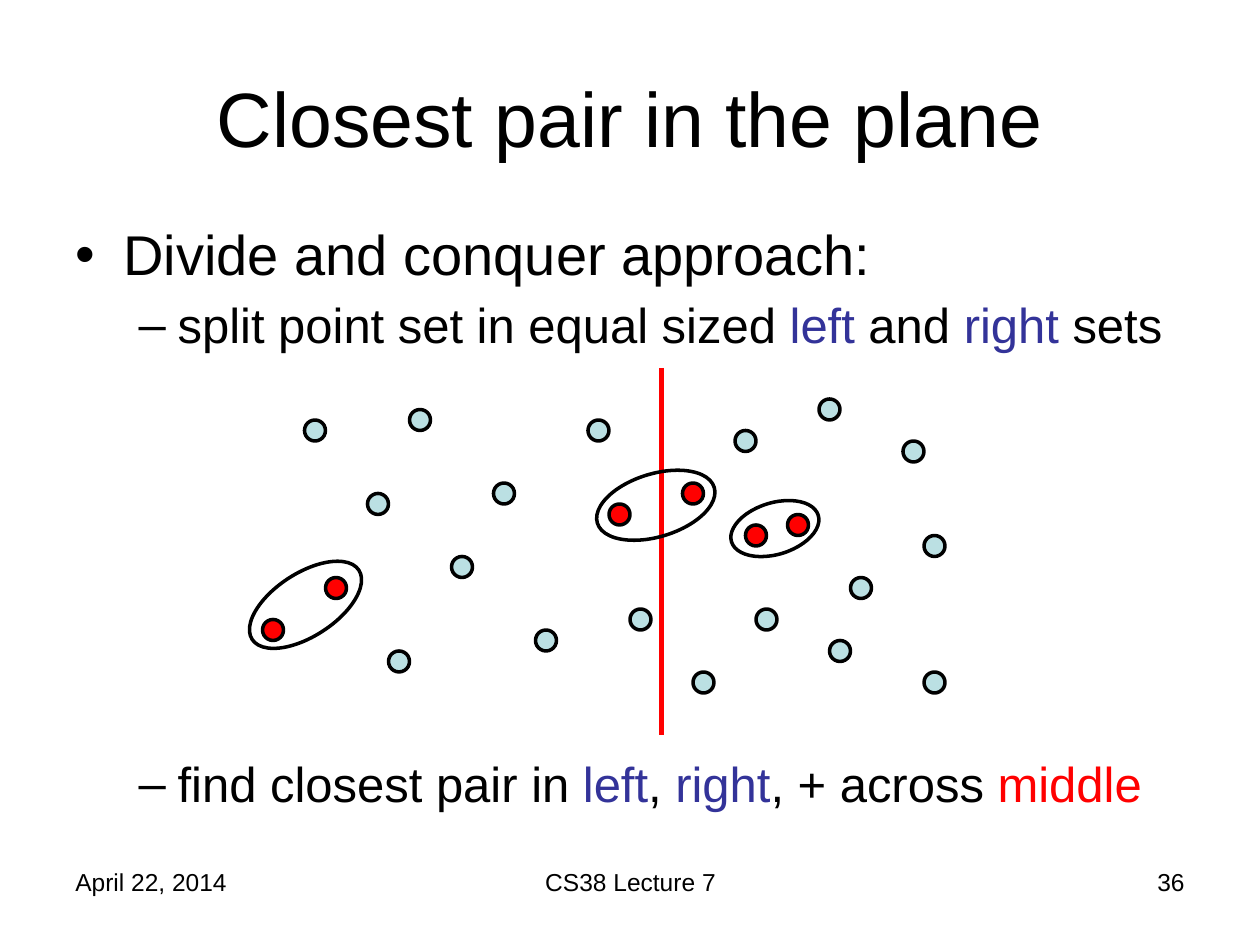
from lxml.etree import SubElement
from pptx import Presentation
from pptx.dml.color import RGBColor
from pptx.enum.shapes import MSO_CONNECTOR, MSO_SHAPE
from pptx.enum.text import MSO_ANCHOR, MSO_AUTO_SIZE, PP_ALIGN
from pptx.oxml.ns import qn
from pptx.util import Inches, Pt

BLACK, RED, BLUE, PALE = "000000", "FF0000", "333399", "BBE0E3"
UNIT = 1 / 12
DOT_SIZE = 2 * UNIT

POINTS = [
    (36, 48), (48, 47), (44, 54), (61, 59), (52, 61), (38, 63), (40, 40),
    (57, 41), (71, 42), (73, 59), (67, 65), (79, 39), (87, 43), (80, 62),
    (82, 56), (89, 52), (30, 41), (89, 65),
]
PAIR_POINTS = [(59, 49), (66, 47), (72, 51), (76, 50), (32, 56), (26, 60)]
PAIR_RINGS = [
    (1.92, 4.55, 1.01, 0.5, 327),
    (4.72, 3.76, 0.97, 0.5, 343),
    (5.79, 3.99, 0.72, 0.41, 343),
]
BODY = [
    (0, 32, 0, "•", 0.38, 0.38, [("Divide and conquer approach:", BLACK)]),
    (1, 28, 8, "–", 0.81, 0.31, [
        ("split point set in equal sized ", BLACK), ("left", BLUE),
        (" and ", BLACK), ("right", BLUE), (" sets", BLACK)]),
    (1, 28, 232, "–", 0.81, 0.31, [
        ("find closest pair in ", BLACK), ("left", BLUE), (", ", BLACK),
        ("right", BLUE), (", + across", BLACK), (" middle", RED)]),
]
FOOTERS = [
    (0.5, 2.33, "April 22, 2014", PP_ALIGN.LEFT),
    (3.42, 3.17, "CS38 Lecture 7", PP_ALIGN.CENTER),
    (7.17, 2.33, "36", PP_ALIGN.RIGHT),
]


def color(value):
    return RGBColor.from_string(value)


def place(shape, left, top, width, height):
    shape.left, shape.top = Inches(left), Inches(top)
    shape.width, shape.height = Inches(width), Inches(height)


def style(font, size, value):
    font.name = "Arial"
    font.size = Pt(size)
    font.color.rgb = color(value)


def add_bullet(para, char, margin, hanging):
    properties = para._p.get_or_add_pPr()
    properties.set("marL", str(Inches(margin)))
    properties.set("indent", str(-Inches(hanging)))
    bullet_color = SubElement(properties, qn("a:buClr"))
    SubElement(bullet_color, qn("a:srgbClr"), val=BLACK)
    SubElement(properties, qn("a:buFont"), typeface="Arial")
    SubElement(properties, qn("a:buChar"), char=char)


def fill_title(title):
    place(title, 0.5, 0.3, 9, 1.25)
    frame = title.text_frame
    frame.text = "Closest pair in the plane"
    frame.auto_size = MSO_AUTO_SIZE.NONE
    frame.vertical_anchor = MSO_ANCHOR.MIDDLE
    para = frame.paragraphs[0]
    para.alignment = PP_ALIGN.CENTER
    style(para.runs[0].font, 44, BLACK)


def fill_body(body):
    place(body, 0.5, 1.75, 9, 4.95)
    frame = body.text_frame
    frame.text = "\n".join("".join(text for text, _ in item[-1]) for item in BODY)
    frame.auto_size = MSO_AUTO_SIZE.NONE
    for para, item in zip(frame.paragraphs, BODY):
        level, size, before, char, margin, hanging, spans = item
        para.clear()
        para.level = level
        para.line_spacing = 0.9
        para.space_before = Pt(before)
        add_bullet(para, char, margin, hanging)
        for text, value in spans:
            span = para.add_run()
            span.text = text
            style(span.font, size, value)


def add_footer(page, left, width, text, alignment):
    box = page.shapes.add_textbox(Inches(left), Inches(6.83), Inches(width), Inches(0.52))
    box.text_frame.word_wrap = True
    box.text_frame.text = text
    para = box.text_frame.paragraphs[0]
    para.alignment = alignment
    style(para.runs[0].font, 14, BLACK)


def add_ellipse(page, left, top, width, height, fill=None, rotation=0):
    shape = page.shapes.add_shape(
        MSO_SHAPE.OVAL, Inches(left), Inches(top), Inches(width), Inches(height))
    shape.rotation = rotation
    shape.shadow.inherit = False
    shape.line.color.rgb = color(BLACK)
    shape.line.width = Pt(2)
    if fill:
        shape.fill.solid()
        shape.fill.fore_color.rgb = color(fill)
    else:
        shape.fill.background()


def add_dots(page, centres, fill):
    for column, row in centres:
        add_ellipse(page, (column - 1) * UNIT, (row - 1) * UNIT, DOT_SIZE, DOT_SIZE, fill)


def add_divider(page):
    line = page.shapes.add_connector(
        MSO_CONNECTOR.STRAIGHT, Inches(5.25), Inches(2.92), Inches(5.25), Inches(5.83))
    line.line.color.rgb = color(RED)
    line.line.width = Pt(3)
    SubElement(line._element.spPr, qn("a:effectLst"))


def main():
    deck = Presentation()
    deck.slide_width, deck.slide_height = Inches(10), Inches(7.5)
    page = deck.slides.add_slide(deck.slide_layouts[1])
    fill_title(page.shapes.title)
    fill_body(page.placeholders[1])
    for footer in FOOTERS:
        add_footer(page, *footer)
    add_dots(page, POINTS, PALE)
    add_dots(page, PAIR_POINTS, RED)
    add_divider(page)
    for left, top, width, height, rotation in PAIR_RINGS:
        add_ellipse(page, left, top, width, height, rotation=rotation)
    deck.save("out.pptx")


if __name__ == "__main__":
    main()
